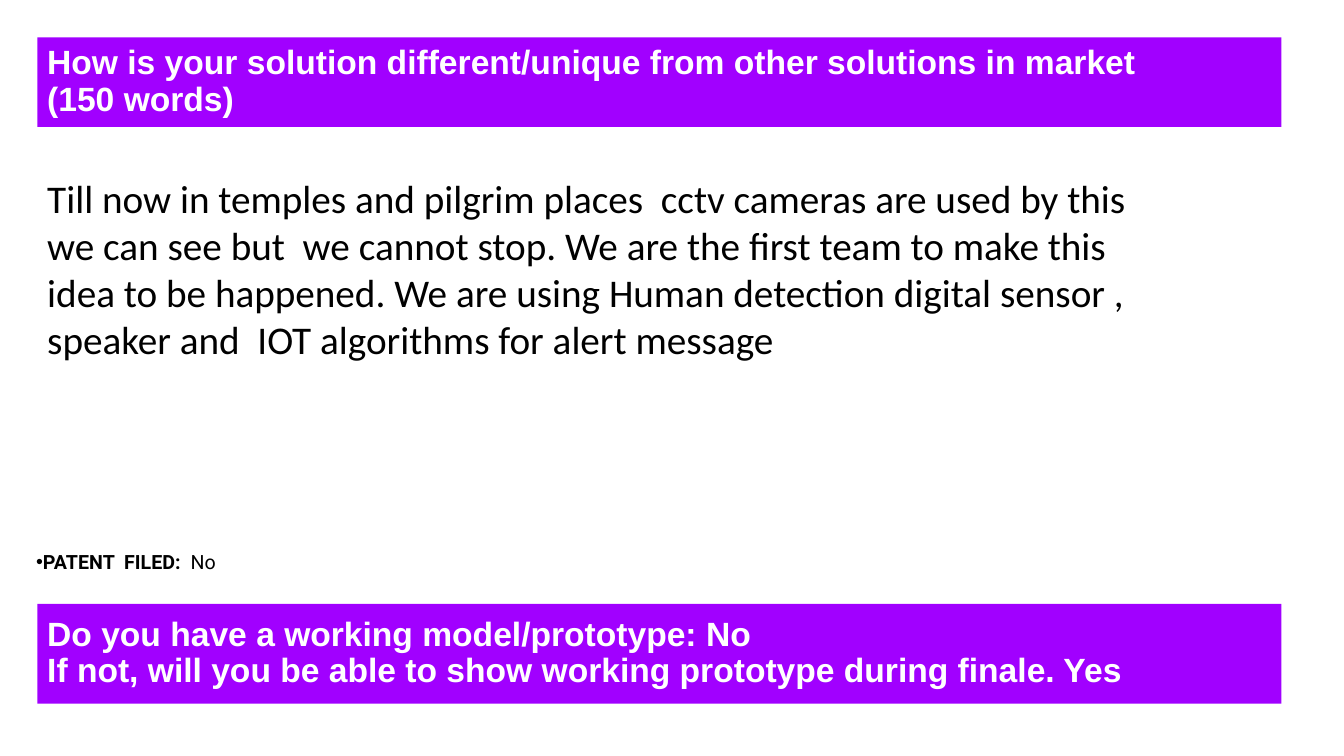
from dataclasses import dataclass

from lxml import etree
from pptx import Presentation
from pptx import util as u
from pptx.dml.color import RGBColor
from pptx.enum import shapes, text
from pptx.oxml import ns
from pptx.slide import Slide
from pptx.text.text import TextFrame


@dataclass(frozen=True)
class Theme:
    purple: RGBColor = RGBColor(0xA1, 0x00, 0xFF)
    white: RGBColor = RGBColor(0xFF, 0xFF, 0xFF)
    black: RGBColor = RGBColor(0x00, 0x00, 0x00)
    banner_font: str = "Arial"
    answer_font: str = "Calibri"
    patent_font: str = "Roboto"
    banner_size: int = 24
    answer_size: int = 28
    patent_size: int = 14


@dataclass(frozen=True)
class Banner:
    top: float
    height: float
    wording: str


@dataclass(frozen=True)
class Note:
    left: float
    top: float
    width: float
    height: float
    wording: str
    font: str
    size: int


THEME = Theme()
MARGIN = 0.37
BANNER_WIDTH = 12.34

BANNERS = [
    Banner(0.37, 0.89, "How is your solution different/unique from other solutions in market \v(150 words)"),
    Banner(
        5.99,
        0.99,
        "Do you have a working model/prototype: No\n"
        "If not, will you be able to show working prototype during finale. Yes",
    ),
]
ANSWER = Note(
    MARGIN, 1.68, 11.29, 1.99,
    "Till now in temples and pilgrim places  cctv cameras are used by this we can see but  "
    "we cannot stop. We are the first team to make this idea to be happened. We are using "
    "Human detection digital sensor , speaker and  IOT algorithms for alert message",
    THEME.answer_font, THEME.answer_size,
)
PATENT = Note(
    0.26, 5.41, 6.66, 0.34, "PATENT  FILED:  ", THEME.patent_font, THEME.patent_size
)


def style_text(frame: TextFrame, font: str, size: int, color: RGBColor, bold: bool) -> None:
    for para in frame.paragraphs:
        for span in para.runs:
            span.font.name = font
            span.font.size = u.Pt(size)
            span.font.color.rgb = color
            span.font.bold = bold


def add_banner(page: Slide, banner: Banner) -> None:
    box = page.shapes.add_shape(
        shapes.MSO_SHAPE.RECTANGLE,
        u.Inches(MARGIN), u.Inches(banner.top),
        u.Inches(BANNER_WIDTH), u.Inches(banner.height),
    )
    box.shadow.inherit = False
    box.fill.solid()
    box.fill.fore_color.rgb = THEME.purple
    box.line.fill.background()
    frame = box.text_frame
    frame.text = banner.wording
    frame.word_wrap = True
    frame.vertical_anchor = text.MSO_ANCHOR.MIDDLE
    for para in frame.paragraphs:
        para.alignment = text.PP_ALIGN.LEFT
        para.line_spacing = 0.9
    style_text(frame, THEME.banner_font, THEME.banner_size, THEME.white, True)


def add_note(page: Slide, note: Note) -> TextFrame:
    box = page.shapes.add_textbox(
        u.Inches(note.left), u.Inches(note.top), u.Inches(note.width), u.Inches(note.height)
    )
    frame = box.text_frame
    frame.text = note.wording
    frame.word_wrap = True
    frame.auto_size = text.MSO_AUTO_SIZE.SHAPE_TO_FIT_TEXT
    style_text(frame, note.font, note.size, THEME.black, False)
    return frame


def add_patent_status(page: Slide) -> None:
    frame = add_note(page, PATENT)
    para = frame.paragraphs[0]
    para.level = 1
    para.add_run().text = "No"
    style_text(frame, PATENT.font, PATENT.size, THEME.black, False)
    para.runs[0].font.bold = True
    properties = para._p.get_or_add_pPr()
    properties.set("marL", "0")
    properties.set("indent", str(u.Inches(-0.19)))
    etree.SubElement(properties, ns.qn("a:buFont"), typeface="Arial")
    etree.SubElement(properties, ns.qn("a:buChar"), char="•")


def main() -> None:
    deck = Presentation()
    deck.slide_width = u.Inches(13.33)
    deck.slide_height = u.Inches(7.5)
    page = deck.slides.add_slide(deck.slide_layouts[6])
    for banner in BANNERS:
        add_banner(page, banner)
    add_patent_status(page)
    add_note(page, ANSWER)
    deck.save("out.pptx")


if __name__ == "__main__":
    main()
